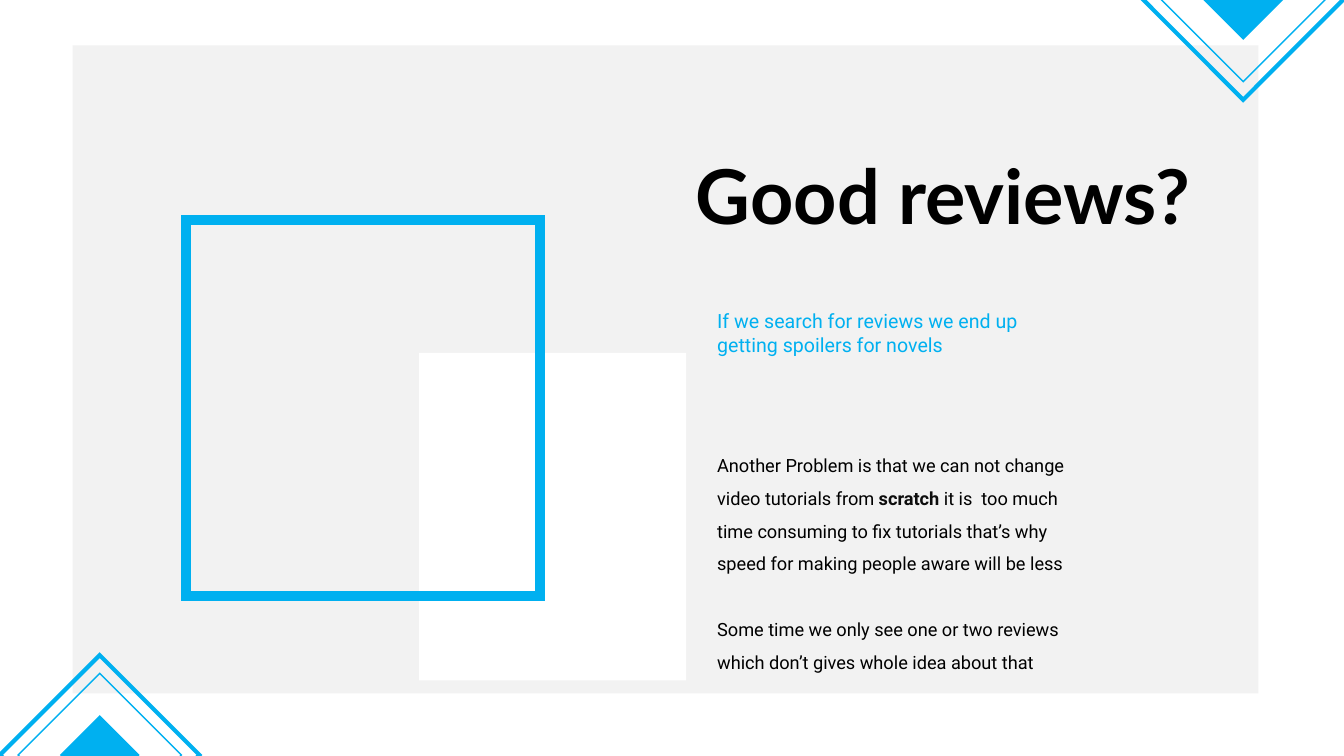
from dataclasses import dataclass, field
from typing import Any

from lxml.etree import SubElement
from pptx import Presentation
from pptx.dml.color import RGBColor
from pptx.enum.shapes import MSO_SHAPE
from pptx.oxml.ns import qn
from pptx.slide import Slide
from pptx.util import Inches, Pt

BLUE = "00B0F0"
BLACK = "000000"
LIGHT_GRAY = "F2F2F2"
WHITE = "FFFFFF"


@dataclass(frozen=True)
class Figure:
    """A preset shape with an optional fill and outline."""
    left: float
    top: float
    width: float
    height: float
    preset: MSO_SHAPE = MSO_SHAPE.RECTANGLE
    fill: str | None = None
    line: str | None = None
    line_width: float = 0


@dataclass(frozen=True)
class TextRun:
    """A piece of text with its own weight and colour."""
    text: str
    bold: bool = False
    color: str = BLACK


@dataclass(frozen=True)
class TextBlock:
    """A text box whose paragraphs share font and paragraph formats."""
    left: float
    top: float
    width: float
    height: float
    paragraphs: list[list[TextRun]]
    font: dict[str, Any]
    paragraph_format: dict[str, Any] = field(default_factory=dict)
    paragraph_gap: float = 0


PANEL = Figure(0.72, 0.45, 11.77, 6.43, fill=LIGHT_GRAY)
WHITE_CARD = Figure(4.16, 3.5, 2.65, 3.25, fill=WHITE)
BLUE_FRAME = Figure(1.85, 2.18, 3.51, 3.73, line=BLUE, line_width=7)
CORNER_CENTERS = [(12.34, 0), (0.99, 7.49)]
DIAMOND_STYLES = [
    (1.62, {"line": BLUE, "line_width": 1}),
    (0.79, {"fill": BLUE}),
    (1.98, {"line": BLUE, "line_width": 3}),
]

TEXT_BLOCKS = [
    TextBlock(
        7.02, 3.02, 3.27, 0.57,
        [[TextRun("If we search for reviews we end up getting spoilers for novels", color=BLUE)]],
        {"name": "Roboto", "size": Pt(14)},
    ),
    TextBlock(
        7.02, 4.35, 3.67, 3.03,
        [
            [
                TextRun("Another Problem is that we can not change video tutorials from "),
                TextRun("scratch", bold=True, color="0D0D0D"),
                TextRun(" it is  too much time consuming to fix tutorials that’s why "
                        "speed for making people aware will be less"),
            ],
            [TextRun("Some time we only see one or two reviews which don’t gives "
                     "whole idea about that")],
        ],
        {"name": "Roboto", "size": Pt(13)},
        {"line_spacing": 1.5},
        paragraph_gap=23.5,
    ),
    TextBlock(
        6.81, 1.43, 5.4, 1,
        [[TextRun("Good reviews?", bold=True)]],
        {"name": "Lato", "size": Pt(54)},
    ),
]


def rgb(color: str) -> RGBColor:
    """Turn a hex string into a colour."""
    return RGBColor.from_string(color)


def set_attributes(target: Any, values: dict[str, Any]) -> None:
    """Set each named format value on the target."""
    for name, value in values.items():
        setattr(target, name, value)


def draw_figure(slide: Slide, figure: Figure) -> None:
    """Draw a preset shape with mitred outline corners."""
    position = map(Inches, (figure.left, figure.top, figure.width, figure.height))
    shape = slide.shapes.add_shape(figure.preset, *position)
    shape.shadow.inherit = False
    if figure.fill:
        shape.fill.solid()
        shape.fill.fore_color.rgb = rgb(figure.fill)
    else:
        shape.fill.background()
    if figure.line:
        shape.line.color.rgb = rgb(figure.line)
        shape.line.width = Pt(figure.line_width)
        outline = shape.element.spPr.find(qn("a:ln"))
        SubElement(outline, qn("a:miter"), lim="800000")
    else:
        shape.line.fill.background()


def draw_text(slide: Slide, block: TextBlock) -> None:
    """Draw a wrapped text box."""
    position = map(Inches, (block.left, block.top, block.width, block.height))
    text_frame = slide.shapes.add_textbox(*position).text_frame
    text_frame.word_wrap = True
    for index, text_runs in enumerate(block.paragraphs):
        paragraph = text_frame.add_paragraph() if index else text_frame.paragraphs[0]
        set_attributes(paragraph, block.paragraph_format)
        if index:
            paragraph.space_before = Pt(block.paragraph_gap)
        for text_run in text_runs:
            run = paragraph.add_run()
            run.text = text_run.text
            set_attributes(run.font, {**block.font, "bold": text_run.bold})
            run.font.color.rgb = rgb(text_run.color)


def draw_corner(slide: Slide, center_x: float, center_y: float) -> None:
    """Draw concentric diamonds around a point."""
    for size, style in DIAMOND_STYLES:
        draw_figure(slide, Figure(center_x - size / 2, center_y - size / 2, size, size,
                                  MSO_SHAPE.DIAMOND, **style))


def main() -> None:
    """Build the reviews slide and save it."""
    presentation = Presentation()
    set_attributes(presentation, {"slide_width": Inches(13.34), "slide_height": Inches(7.5)})
    slide = presentation.slides.add_slide(presentation.slide_layouts[6])
    for figure in (PANEL, WHITE_CARD, BLUE_FRAME):
        draw_figure(slide, figure)
    for block in TEXT_BLOCKS:
        draw_text(slide, block)
    for center_x, center_y in CORNER_CENTERS:
        draw_corner(slide, center_x, center_y)
    presentation.save("out.pptx")


if __name__ == "__main__":
    main()
